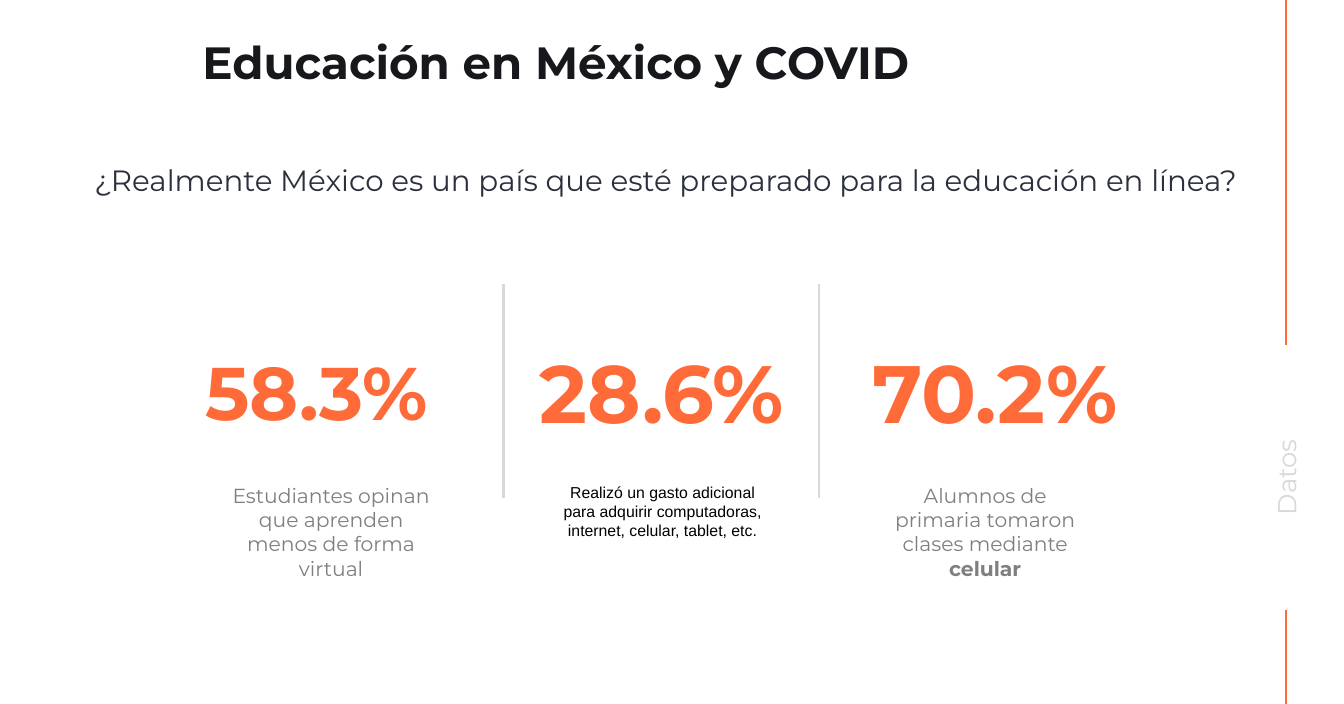
from pptx import Presentation
from pptx.dml.color import RGBColor
from pptx.enum.shapes import MSO_CONNECTOR as Conn
from pptx.enum.text import MSO_ANCHOR as Anchor, MSO_AUTO_SIZE as Auto, PP_ALIGN as Align
from pptx.oxml.ns import qn
from pptx.util import Inches, Pt
from lxml.etree import SubElement

ORANGE = RGBColor(0xFF, 0x6A, 0x39)
INK = RGBColor(0x16, 0x18, 0x1C)
SLATE = RGBColor(0x2B, 0x30, 0x3C)
GRAY = RGBColor(0x7F, 0x7F, 0x7F)
PALE = RGBColor(0xD8, 0xD8, 0xD8)
BLACK = RGBColor(0, 0, 0)


class Page:
    font = "Montserrat"
    pad = Inches(0.16)

    def __init__(self, deck):
        self.col = deck.slide_width / 100
        self.row = deck.slide_height / 100
        self.slide = deck.slides.add_slide(deck.slide_layouts[5])

    def spot(self, x, y):
        return round(x * self.col), round(y * self.row)

    def style(self, shape, runs, size, color, font=None, bold=False,
              align=Align.CENTER, anchor=Anchor.TOP):
        frame = shape.text_frame
        frame.word_wrap = True
        frame.auto_size = Auto.NONE
        frame.vertical_anchor = anchor
        frame.margin_left = frame.margin_right = self.pad
        frame.margin_top = frame.margin_bottom = self.pad
        para = frame.paragraphs[0]
        para.alignment = align
        for text, heavy in runs:
            run = para.add_run()
            run.text = text
            run.font.name = font or self.font
            run.font.size = Pt(size)
            run.font.bold = bold or heavy
            run.font.color.rgb = color

    def title(self, box, text, size, color):
        shape = self.slide.shapes.title
        shape.left, shape.top = self.spot(*box[:2])
        shape.width, shape.height = self.spot(*box[2:])
        self.style(shape, [(text, False)], size, color, bold=True,
                   align=Align.LEFT, anchor=Anchor.MIDDLE)

    def text(self, box, runs, size, color, turn=0, **look):
        shape = self.slide.shapes.add_textbox(*self.spot(*box[:2]), *self.spot(*box[2:]))
        shape.rotation = turn
        self.style(shape, runs, size, color, **look)

    def rule(self, x, top, end, color, width):
        line = self.slide.shapes.add_connector(
            Conn.STRAIGHT, *self.spot(x, top), *self.spot(x, end))
        line.line.color.rgb = color
        line.line.width = Pt(width)
        SubElement(line._element.spPr, qn("a:effectLst"))


def main():
    deck = Presentation()
    deck.slide_width, deck.slide_height = Inches(16.54), Inches(8.66)
    page = Page(deck)

    page.title((14.09, 4.16, 60.94, 9.01), "Educación en México y COVID", 40, INK)
    page.text((6.05, 21.13, 91.84, 11.43),
              [("¿Realmente México es un país que esté preparado para la educación en línea?", False)],
              26, SLATE, align=Align.LEFT)

    for top, end in ((0, 48.96), (86.6, 100)):
        page.rule(95.71, top, end, ORANGE, 1.5)
    page.text((85.79, 63.63, 19.89, 8.31), [("Datos", False)], 23, PALE, turn=270)

    for x in (37.48, 60.94):
        page.rule(x, 40.3, 70.79, PALE, 2.25)

    rates = (
        (11.85, 23.46, "58.3%", 66),
        (38.63, 21.22, "28.6%", 72),
        (63.42, 21.22, "70.2%", 72),
    )
    for x, width, rate, size in rates:
        page.text((x, 38.45, width, 34.18), [(rate, False)], size, ORANGE,
                  bold=True, anchor=Anchor.MIDDLE)

    notes = (
        (16.2, [("Estudiantes opinan que aprenden menos de forma virtual", False)],
         18, GRAY, Page.font),
        (40.87, [("Realizó un gasto adicional para adquirir computadoras, "
                  "internet, celular, tablet, etc.", False)], 14, BLACK, "Arial"),
        (64.87, [("Alumnos de primaria tomaron clases mediante ", False), ("celular", True)],
         18, GRAY, Page.font),
    )
    for x, runs, size, color, font in notes:
        page.text((x, 66.74, 16.87, 24.13), runs, size, color, font=font)

    deck.save("out.pptx")


if __name__ == "__main__":
    main()
